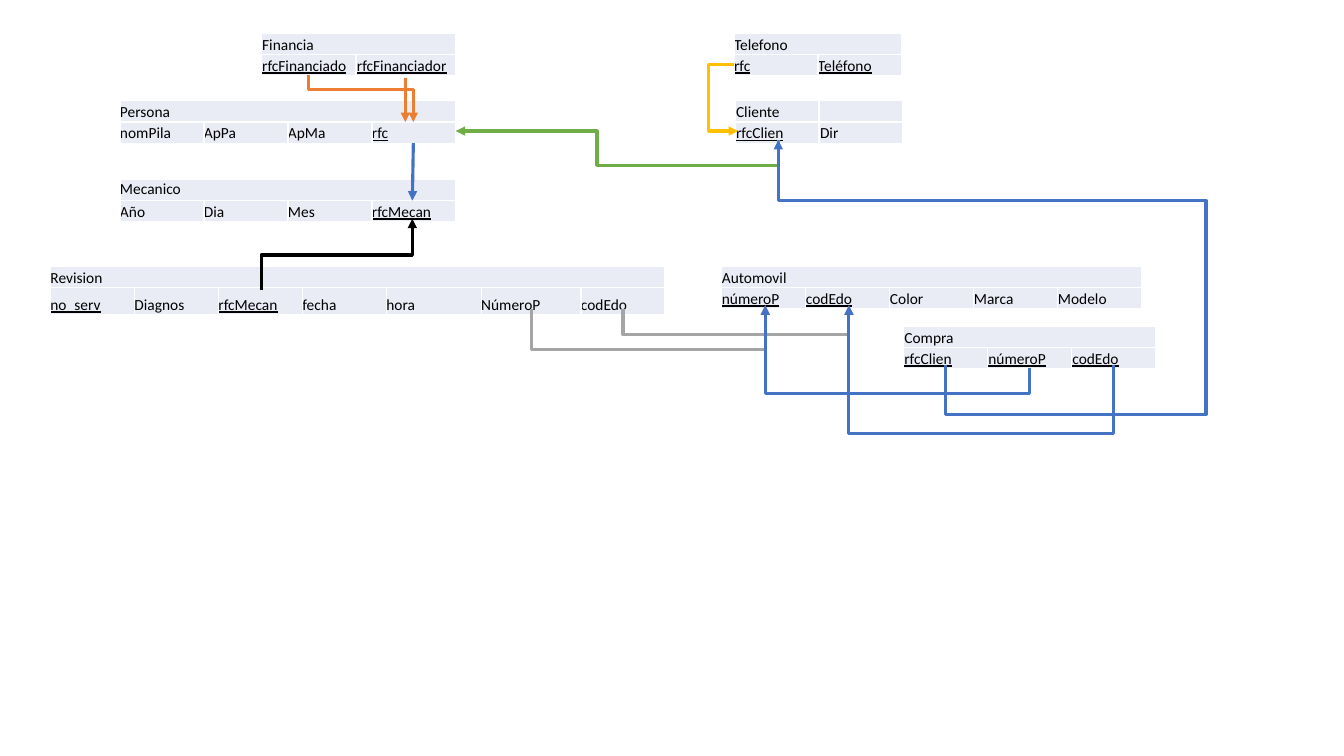
from lxml.etree import SubElement
from pptx import Presentation
from pptx.dml.color import RGBColor
from pptx.enum.shapes import MSO_CONNECTOR as Link
from pptx.enum.text import MSO_ANCHOR as Anchor
from pptx.oxml.ns import qn
from pptx.util import Inches, Pt

BLUE, ORANGE, GREEN = "4472C4", "ED7D31", "70AD47"
GRAY, YELLOW, BLACK = "A5A5A5", "FFC000", "000000"
WHITE, CELL_FILL = "FFFFFF", "E9EBF5"
ROW, COLUMN = 0.21, 0.83333


def color(value):
    """Turn a hex string into a colour."""
    return RGBColor.from_string(value)


def add_borders(cell, value):
    """Give a cell a one-point border on each side."""
    properties = cell._tc.get_or_add_tcPr()
    for side in ("lnL", "lnR", "lnT", "lnB"):
        border = SubElement(properties, qn(f"a:{side}"), w=str(Pt(1)))
        fill = SubElement(border, qn("a:solidFill"))
        SubElement(fill, qn("a:srgbClr"), val=value)


def write_cell(cell, text, underline=False, margin=0, anchor=Anchor.BOTTOM):
    """Format a cell and write its text."""
    add_borders(cell, WHITE)
    cell.fill.solid()
    cell.fill.fore_color.rgb = color(CELL_FILL)
    cell.margin_left = cell.margin_right = cell.margin_top = Inches(margin)
    cell.margin_bottom = 0
    cell.vertical_anchor = anchor
    para = cell.text_frame.paragraphs[0]
    if text:
        span = para.add_run()
        span.text = text
        span.font.name = "Calibri"
        span.font.size = Pt(11)
        span.font.underline = underline
        span.font.color.rgb = color(BLACK)
    SubElement(para._p, qn("a:endParaRPr"), sz="1100")


def add_relation(page, left, top, title, fields, keys=(), widths=None,
                 field_row=ROW, margin=0, merge=True, title_anchor=Anchor.BOTTOM):
    """Add a relation as a title row above a row of fields, its keys underlined."""
    widths = widths or [COLUMN] * len(fields)
    frame = page.shapes.add_table(2, len(fields), Inches(left), Inches(top),
                                  Inches(sum(widths)), Inches(ROW + field_row))
    table = frame.table
    table.first_row = table.horz_banding = False
    for row, height in zip(table.rows, (ROW, field_row)):
        row.height = Inches(height)
    for index, (field, width) in enumerate(zip(fields, widths)):
        table.columns[index].width = Inches(width)
        write_cell(table.cell(0, index), "" if index else title,
                   margin=margin, anchor=title_anchor)
        write_cell(table.cell(1, index), field, underline=field in keys, margin=margin)
    if merge:
        table.cell(0, 0).merge(table.cell(0, len(fields) - 1))


def add_link(page, kind, start, end, value, arrow):
    """Add a connector with its line format."""
    link = page.shapes.add_connector(kind, *map(Inches, (*start, *end)))
    link.line.color.rgb = color(value)
    link.line.width = Pt(2.25)
    if arrow:
        SubElement(link.line._get_or_add_ln(), qn("a:tailEnd"), type="triangle")
    SubElement(link._element.spPr, qn("a:effectLst"))
    return link


def add_straight(page, start, end, value, arrow=True):
    """Add a straight connector."""
    add_link(page, Link.STRAIGHT, start, end, value, arrow)


def add_elbow(page, points, value, arrow=True):
    """Add a bent connector that runs through the given corner points."""
    start, end = points[0], points[-1]
    center = [(a + b) / 2 for a, b in zip(start, end)]
    across, down = (b - a for a, b in zip(start, end))
    vertical = start[0] == points[1][0]
    half = (down / 2, -across / 2) if vertical else (across / 2, down / 2)
    link = add_link(page, Link.ELBOW,
                    [c - h for c, h in zip(center, half)],
                    [c + h for c, h in zip(center, half)], value, arrow)
    properties = link._element.spPr
    if vertical:
        properties.find(qn("a:xfrm")).set("rot", str(90 * 60000))
    geometry = properties.find(qn("a:prstGeom"))
    geometry.set("prst", f"bentConnector{len(points) - 1}")
    guides = geometry.find(qn("a:avLst"))
    for number, point in enumerate(points[1:-2], 1):
        axis = (number - 1 + vertical) % 2
        share = (point[axis] - start[axis]) / (end[axis] - start[axis])
        SubElement(guides, qn("a:gd"), name=f"adj{number}",
                   fmla=f"val {round(share * 100000)}")


def add_relations(page):
    """Add all the relations of the schema."""
    add_relation(page, 1.19, 1.78, "Mecanico", ["Año", "Dia", "Mes", "rfcMecan"],
                 ["rfcMecan"], title_anchor=Anchor.TOP)
    add_relation(page, 7.29, 1, "Cliente", ["rfcClien", "Dir"], ["rfcClien"],
                 margin=0.01, merge=False)
    purchase = ["rfcClien", "númeroP", "codEdo"]
    add_relation(page, 8.96, 3.24, "Compra", purchase, purchase, margin=0.01)
    add_relation(page, 7.16, 2.64, "Automovil",
                 ["númeroP", "codEdo", "Color", "Marca", "Modelo"],
                 ["númeroP", "codEdo"])
    add_relation(page, 1.19, 1, "Persona", ["nomPila", "ApPa", "ApMa", "rfc"], ["rfc"])
    add_relation(page, 0.5, 2.64, "Revision",
                 ["no_serv", "Diagnos", "rfcMecan", "fecha", "hora", "NúmeroP", "codEdo"],
                 ["no_serv", "rfcMecan"],
                 widths=[COLUMN] * 4 + [0.94, 0.99, COLUMN], field_row=0.27)
    financing = ["rfcFinanciado", "rfcFinanciador"]
    add_relation(page, 2.59, 0.33, "Financia", financing, financing,
                 widths=[0.94, 0.99], margin=0.01)
    phone = ["rfc", "Teléfono"]
    add_relation(page, 7.28, 0.33, "Telefono", phone, phone)


def add_references(page):
    """Add the connectors from foreign keys to the keys they refer to."""
    add_elbow(page, [(3.06, 0.89), (4.1, 0.89), (4.1, 1.21)], ORANGE)
    add_straight(page, (4.02, 0.77), (4.02, 1.21), ORANGE)
    add_straight(page, (3.06, 0.74), (3.06, 0.89), ORANGE, arrow=False)
    add_elbow(page, [(2.59, 2.88), (2.59, 2.53), (4.09, 2.53), (4.09, 2.17)], BLACK)
    add_elbow(page, [(7.28, 0.64), (7.03, 0.64), (7.03, 1.3), (7.32, 1.3)], YELLOW)
    add_straight(page, (4.1, 1.42), (4.09, 1.99), BLUE)
    add_elbow(page, [(7.72, 1.39), (7.72, 1.64), (5.92, 1.64), (5.92, 1.3),
                     (4.52, 1.3)], GREEN)
    plate, state = (7.59, 3.03), (8.42, 3.03)
    for start, level, target, value in (
        ((6.18, 3.07), 3.32, state, GRAY),
        ((5.27, 3.07), 3.47, plate, GRAY),
        ((10.21, 3.65), 3.9, plate, BLUE),
        ((11.04, 3.62), 4.3, state, BLUE),
    ):
        add_elbow(page, [start, (start[0], level), (target[0], level), target], value)
    add_elbow(page, [(9.38, 3.62), (9.38, 4.11), (11.96, 4.11), (11.96, 1.99),
                     (11.69, 1.99)], BLUE, arrow=False)
    add_elbow(page, [(11.69, 1.99), (7.72, 1.99), (7.72, 1.39)], BLUE)


def main():
    """Build the relational schema slide."""
    deck = Presentation()
    deck.slide_width, deck.slide_height = Inches(13.33), Inches(7.5)
    page = deck.slides.add_slide(deck.slide_layouts[6])
    add_relations(page)
    add_references(page)
    deck.save("out.pptx")


if __name__ == "__main__":
    main()
